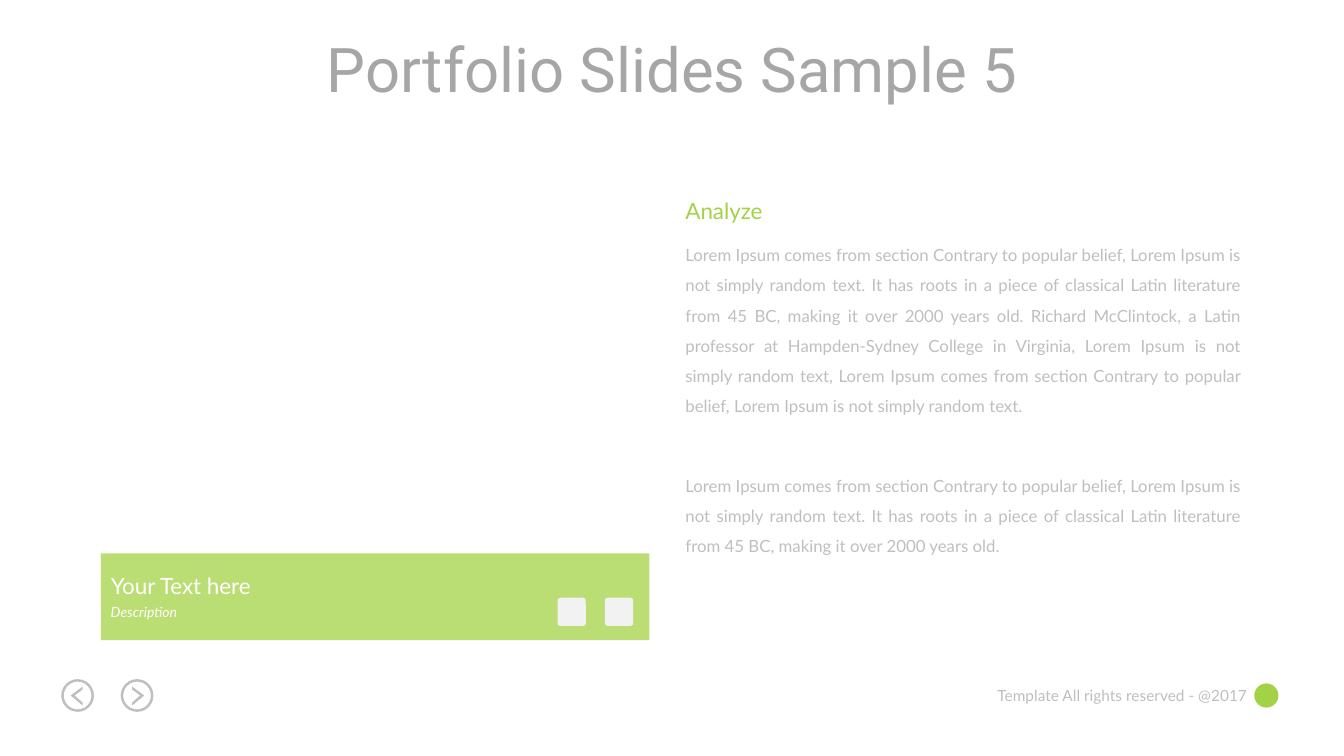
from pptx import Presentation
from pptx.dml.color import RGBColor
from pptx.enum.shapes import MSO_SHAPE
from pptx.enum.text import MSO_ANCHOR, MSO_AUTO_SIZE, PP_ALIGN
from pptx.oxml.ns import qn
from pptx.util import Inches, Pt
from lxml.etree import SubElement

COLORS = {
    "title": "A6A6A6",
    "body": "BFBFBF",
    "accent": "A4D246",
    "icon": "F2F2F2",
    "white": "FFFFFF",
}
INTRO = (
    "Lorem Ipsum comes from section Contrary to popular belief, Lorem Ipsum is not "
    "simply random text. It has roots in a piece of classical Latin literature from "
    "45 BC, making it over 2000 years old."
)
DETAILS = (
    " Richard McClintock, a Latin professor at Hampden-Sydney College in Virginia, "
    "Lorem Ipsum is not simply random text, Lorem Ipsum comes from section Contrary "
    "to popular belief, Lorem Ipsum is not simply random text."
)


def color(name):
    return RGBColor.from_string(COLORS[name])


def write(frame, text, size, color_name, font="Lato", align=PP_ALIGN.LEFT,
          wrap=False, spacing=None, italic=None):
    frame.word_wrap = wrap
    frame.auto_size = MSO_AUTO_SIZE.SHAPE_TO_FIT_TEXT
    frame.vertical_anchor = MSO_ANCHOR.TOP
    paragraph = frame.paragraphs[0]
    paragraph.alignment = align
    paragraph.line_spacing = spacing
    run = paragraph.add_run()
    run.text = text
    run.font.name = font
    run.font.size = Pt(size)
    run.font.italic = italic
    run.font.color.rgb = color(color_name)


def add_text(slide, box, text, size, color_name, **style):
    label = slide.shapes.add_textbox(*map(Inches, box))
    write(label.text_frame, text, size, color_name, **style)


def paint(shape, color_name):
    shape.shadow.inherit = False
    shape.fill.solid()
    shape.fill.fore_color.rgb = color(color_name)
    shape.line.fill.background()


def add_filled(slide, preset, box, color_name):
    shape = slide.shapes.add_shape(preset, *map(Inches, box))
    paint(shape, color_name)
    return shape


def add_title(slide, box):
    title = slide.shapes.title
    title.left, title.top, title.width, title.height = map(Inches, box)
    write(title.text_frame, "Portfolio Slides Sample 5", 44, "title",
          font="Roboto", align=PP_ALIGN.CENTER)


def add_article(slide, left, top, width):
    add_text(slide, (left, top, 0.98, 0.37), "Analyze", 16, "accent")
    for offset, height, text in ((0.37, 1.92, INTRO + DETAILS), (2.66, 1.01, INTRO)):
        add_text(slide, (left, top + offset, width, height), text, 12, "body",
                 align=PP_ALIGN.JUSTIFY, wrap=True, spacing=1.5)


def add_caption(slide, left, top, width, height):
    """Translucent caption bar with two social buttons at its right end."""
    bar = add_filled(slide, MSO_SHAPE.RECTANGLE, (left, top, width, height), "accent")
    bar_color = bar.fill._xPr.find(qn("a:solidFill")).find(qn("a:srgbClr"))
    SubElement(bar_color, qn("a:alpha")).set("val", "75000")
    add_text(slide, (left, top + 0.14, 1.68, 0.37), "Your Text here", 16, "white")
    add_text(slide, (left, top + 0.45, 0.87, 0.27), "Description", 10, "white",
             italic=True)
    for from_right in (0.91, 0.44):
        button = add_filled(
            slide, MSO_SHAPE.ROUNDED_RECTANGLE,
            (left + width - from_right, top + 0.44, 0.28, 0.28), "icon")
        button.adjustments[0] = 0.1


def add_arrow_button(slide, center_x, center_y, direction):
    """Ringed chevron; direction is -1 for back and 1 for forward."""
    radius = 0.15
    ring = slide.shapes.add_shape(
        MSO_SHAPE.OVAL, Inches(center_x - radius), Inches(center_y - radius),
        Inches(2 * radius), Inches(2 * radius))
    ring.shadow.inherit = False
    ring.fill.background()
    ring.line.color.rgb = color("body")
    ring.line.width = Pt(1.75)

    outline = ((-0.05, -0.06), (0.03, 0), (-0.05, 0.07),
               (-0.05, 0.1), (0.07, 0), (-0.05, -0.09))
    points = [(Inches(center_x + direction * x), Inches(center_y + y))
              for x, y in outline]
    chevron = slide.shapes.build_freeform(*points[0])
    chevron.add_line_segments(points[1:], close=True)
    paint(chevron.convert_to_shape(), "body")


def add_footer(slide, top):
    for center_x, direction in ((0.77, -1), (1.36, 1)):
        add_arrow_button(slide, center_x, top + 0.25, direction)
    add_text(slide, (9.74, top + 0.11, 2.73, 0.29),
             "Template All rights reserved - @2017", 11, "body",
             align=PP_ALIGN.RIGHT)
    add_filled(slide, MSO_SHAPE.OVAL, (12.44, top + 0.13, 0.24, 0.24), "accent")


def main():
    presentation = Presentation()
    presentation.slide_width = Inches(13.33)
    presentation.slide_height = Inches(7.5)
    slide = presentation.slides.add_slide(presentation.slide_layouts[5])
    add_footer(slide, 6.65)
    add_title(slide, (3, 0.26, 7.34, 0.84))
    add_article(slide, 6.7, 1.91, 5.71)
    add_caption(slide, 1, 5.49, 5.44, 0.86)
    presentation.save("out.pptx")


if __name__ == "__main__":
    main()
